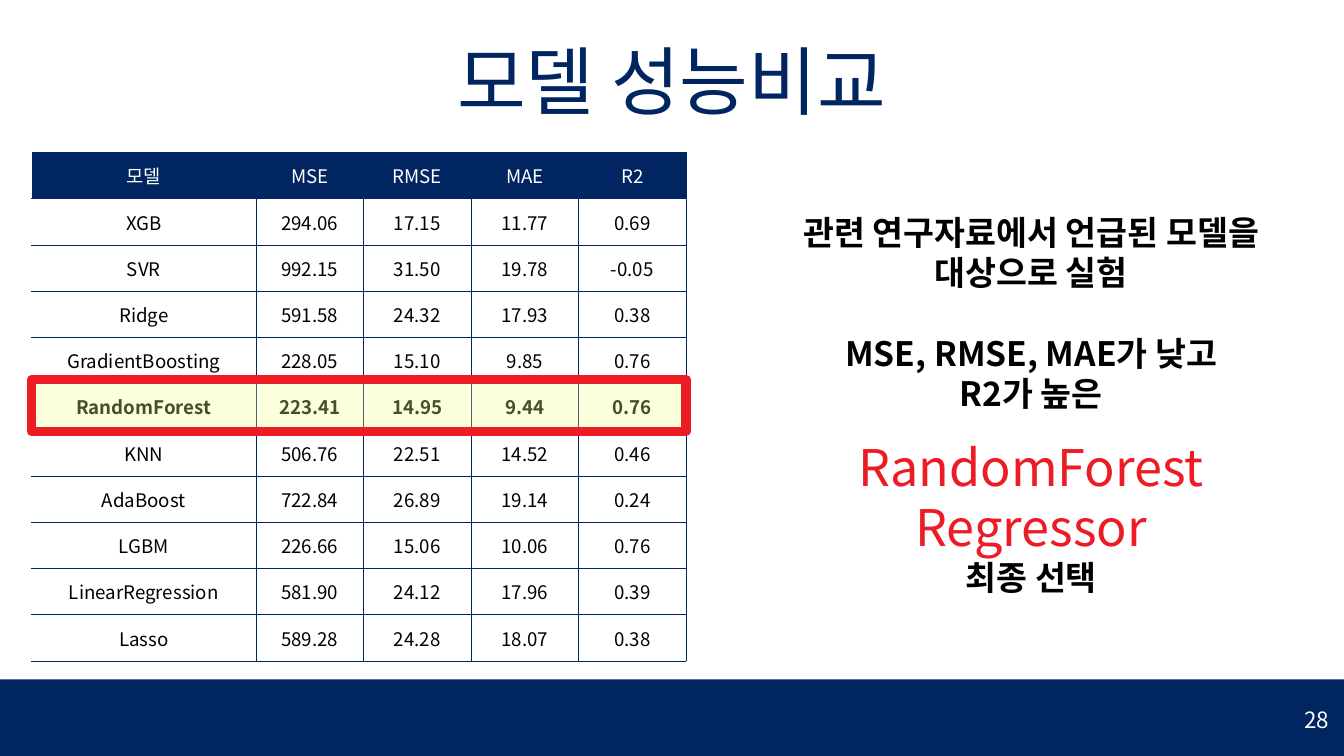
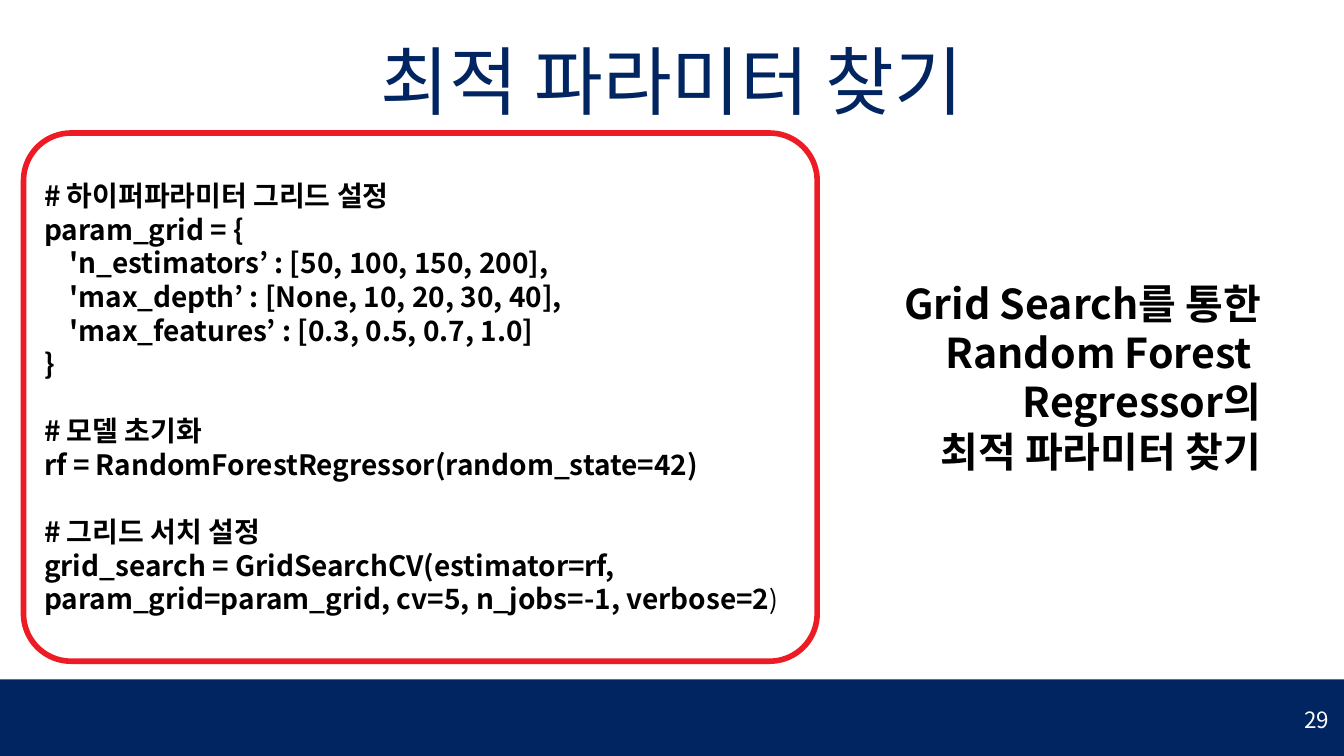
from dataclasses import dataclass

from lxml.etree import SubElement
from pptx import Presentation
from pptx.dml.color import RGBColor
from pptx.enum.shapes import MSO_SHAPE
from pptx.enum.text import MSO_ANCHOR, MSO_AUTO_SIZE, PP_ALIGN
from pptx.oxml import parse_xml
from pptx.oxml.ns import nsdecls, qn
from pptx.util import Emu, Pt

# Shared look
PX = 9144  # 100 px to the inch
FONT = "Noto Sans CJK KR"
NAVY, RED, BLACK, WHITE, YELLOW = "002561", "ED1C24", "000000", "FFFFFF", "F5FF8D"
PAGE_WIDTH, PAGE_HEIGHT = 2000, 1125
BAND_TOP = 1011
TITLE_TOP, TITLE_HEIGHT = 42, 165
TEXT_INSET = 10


@dataclass
class Box:
    left: int
    top: int
    width: int
    height: int

    def emu(self) -> tuple:
        return tuple(Emu(v * PX) for v in (self.left, self.top, self.width, self.height))


@dataclass
class Line:
    text: str
    size: int
    color: str = BLACK
    bold: bool = False
    before: int = 0


# Model comparison
HEADER = ("모델", "MSE", "RMSE", "MAE", "R2")
SCORES = (
    ("XGB", "294.06", "17.15", "11.77", "0.69"),
    ("SVR", "992.15", "31.50", "19.78", "-0.05"),
    ("Ridge", "591.58", "24.32", "17.93", "0.38"),
    ("GradientBoosting", "228.05", "15.10", "9.85", "0.76"),
    ("RandomForest", "223.41", "14.95", "9.44", "0.76"),
    ("KNN", "506.76", "22.51", "14.52", "0.46"),
    ("AdaBoost", "722.84", "26.89", "19.14", "0.24"),
    ("LGBM", "226.66", "15.06", "10.06", "0.76"),
    ("LinearRegression", "581.90", "24.12", "17.96", "0.39"),
    ("Lasso", "589.28", "24.28", "18.07", "0.38"),
)
BEST_MODEL = "RandomForest"
COLUMN_WIDTHS = (334, 160, 160, 160, 160)
TABLE_BOX = Box(47, 227, sum(COLUMN_WIDTHS), 757)
BEST_BOX = Box(47, 565, TABLE_BOX.width, 77)
REASONS = (
    Line("관련 연구자료에서 언급된 모델을 대상으로 실험", 36, bold=True),
    Line("MSE, RMSE, MAE가 낮고", 36, bold=True, before=43),
    Line("R2가 높은", 36, bold=True),
)
CHOICE = (
    Line("RandomForest", 54, RED),
    Line("Regressor", 54, RED),
    Line("최종 선택", 36, bold=True),
)

# Grid search
CODE_SIZE, CODE_GAP = 30, 36
CODE_BLOCKS = (
    """# 하이퍼파라미터 그리드 설정
param_grid = {
    'n_estimators’ : [50, 100, 150, 200],
    'max_depth’ : [None, 10, 20, 30, 40],
    'max_features’ : [0.3, 0.5, 0.7, 1.0]
}""",
    """# 모델 초기화
rf = RandomForestRegressor(random_state=42)""",
    """# 그리드 서치 설정
grid_search = GridSearchCV(estimator=rf, param_grid=param_grid, cv=5, n_jobs=-1, verbose=2""",
)
SUMMARY = tuple(
    Line(text, 44, bold=True)
    for text in ("Grid Search를 통한", "Random Forest ", "Regressor의", "최적 파라미터 찾기")
)


def rgb(color: str) -> RGBColor:
    return RGBColor.from_string(color)


def write_lines(frame, lines, align=PP_ALIGN.LEFT) -> None:
    """Fill a text frame with one paragraph for each line."""
    for index, line in enumerate(lines):
        para = frame.paragraphs[0] if index == 0 else frame.add_paragraph()
        para.add_run().text = line.text
        para.alignment = align
        para.space_before = Pt(line.before)
        font = para.font
        font.name, font.size, font.bold = FONT, Pt(line.size), line.bold
        font.color.rgb = rgb(line.color)
        # Korean letters take the East Asian typeface
        defaults = para._p.pPr.find(qn("a:defRPr"))
        SubElement(defaults, qn("a:ea"), typeface=FONT)


def format_frame(frame, anchor=MSO_ANCHOR.TOP) -> None:
    frame.word_wrap = True
    frame.auto_size = MSO_AUTO_SIZE.NONE
    frame.vertical_anchor = anchor
    frame.margin_left = frame.margin_right = Emu(TEXT_INSET * PX)
    frame.margin_top = frame.margin_bottom = Emu(TEXT_INSET * PX)


def add_text(page, box: Box, lines, align, anchor=MSO_ANCHOR.TOP) -> None:
    frame = page.shapes.add_textbox(*box.emu()).text_frame
    format_frame(frame, anchor)
    write_lines(frame, lines, align)


def add_panel(page, kind, box: Box, fill: str, line: str = "", line_width: int = 0):
    panel = page.shapes.add_shape(kind, *box.emu())
    panel.shadow.inherit = False
    panel.fill.solid()
    panel.fill.fore_color.rgb = rgb(fill)
    if line:
        panel.line.color.rgb = rgb(line)
        panel.line.width = Pt(line_width)
    else:
        panel.line.fill.background()
    return panel


def add_page(deck, title: str, title_width: int, number: int):
    """Add a page with its title, bottom band and page number."""
    page = deck.slides.add_slide(deck.slide_layouts[5])
    heading = page.shapes.title
    title_box = Box((PAGE_WIDTH - title_width) // 2, TITLE_TOP, title_width, TITLE_HEIGHT)
    heading.left, heading.top, heading.width, heading.height = title_box.emu()
    format_frame(heading.text_frame)
    write_lines(heading.text_frame, [Line(title, 80, NAVY)], PP_ALIGN.CENTER)
    band = Box(0, BAND_TOP, PAGE_WIDTH, PAGE_HEIGHT - BAND_TOP)
    add_panel(page, MSO_SHAPE.RECTANGLE, band, NAVY)
    add_text(page, Box(1758, 1028, 230, 85), [Line(str(number), 24, WHITE)],
             PP_ALIGN.RIGHT, MSO_ANCHOR.MIDDLE)
    return page


def set_borders(cell, sides: str) -> None:
    properties = cell._tc.get_or_add_tcPr()
    for index, side in enumerate(sides):
        properties.insert(index, parse_xml(
            f'<a:ln{side} {nsdecls("a")} w="{Pt(1)}"><a:solidFill>'
            f'<a:srgbClr val="{NAVY}"/></a:solidFill></a:ln{side}>'))


def add_score_table(page) -> None:
    rows = (HEADER, *SCORES)
    table = page.shapes.add_table(len(rows), len(HEADER), *TABLE_BOX.emu()).table
    table.first_row = table.horz_banding = False
    for column, width in zip(table.columns, COLUMN_WIDTHS):
        column.width = Emu(width * PX)
    for row_index, row in enumerate(rows):
        is_header = row_index == 0
        for column_index, text in enumerate(row):
            cell = table.cell(row_index, column_index)
            cell.vertical_anchor = MSO_ANCHOR.MIDDLE
            cell.fill.solid()
            cell.fill.fore_color.rgb = rgb(NAVY if is_header else WHITE)
            line = Line(text, 20, WHITE if is_header else BLACK, row[0] == BEST_MODEL)
            write_lines(cell.text_frame, [line], PP_ALIGN.CENTER)
            # The outer left edge stays open
            set_borders(cell, "LRTB" if column_index else "RTB")


def build_comparison(deck) -> None:
    page = add_page(deck, "모델 성능비교", 805, 28)
    add_text(page, Box(1162, 639, 745, 273), CHOICE, PP_ALIGN.CENTER)
    add_text(page, Box(1162, 305, 745, 317), REASONS, PP_ALIGN.CENTER)
    add_score_table(page)
    # See-through marker over the best model
    marker = add_panel(page, MSO_SHAPE.RECTANGLE, BEST_BOX, YELLOW, RED, 10)
    tint = marker._element.spPr.find(qn("a:solidFill")).find(qn("a:srgbClr"))
    SubElement(tint, qn("a:alpha"), val="30000")


def build_grid_search(deck) -> None:
    page = add_page(deck, "최적 파라미터 찾기", 1416, 29)
    panel = add_panel(page, MSO_SHAPE.ROUNDED_RECTANGLE, Box(35, 198, 1181, 786), WHITE, RED, 6)
    panel.adjustments[0] = 0.09
    frame = panel.text_frame
    frame.word_wrap = True
    frame.vertical_anchor = MSO_ANCHOR.MIDDLE
    # Each block after the first is set off by a gap
    code = [
        Line(text, CODE_SIZE, bold=True, before=CODE_GAP if block and not row else 0)
        for block, source in enumerate(CODE_BLOCKS)
        for row, text in enumerate(source.splitlines())
    ]
    write_lines(frame, code)
    closing = frame.paragraphs[-1].add_run()
    closing.text = ")"
    closing.font.size, closing.font.bold = Pt(28), False
    add_text(page, Box(1305, 404, 582, 316), SUMMARY, PP_ALIGN.RIGHT)


def main() -> None:
    deck = Presentation()
    deck.slide_width, deck.slide_height = Emu(PAGE_WIDTH * PX), Emu(PAGE_HEIGHT * PX)
    build_comparison(deck)
    build_grid_search(deck)
    deck.save("out.pptx")


if __name__ == "__main__":
    main()
